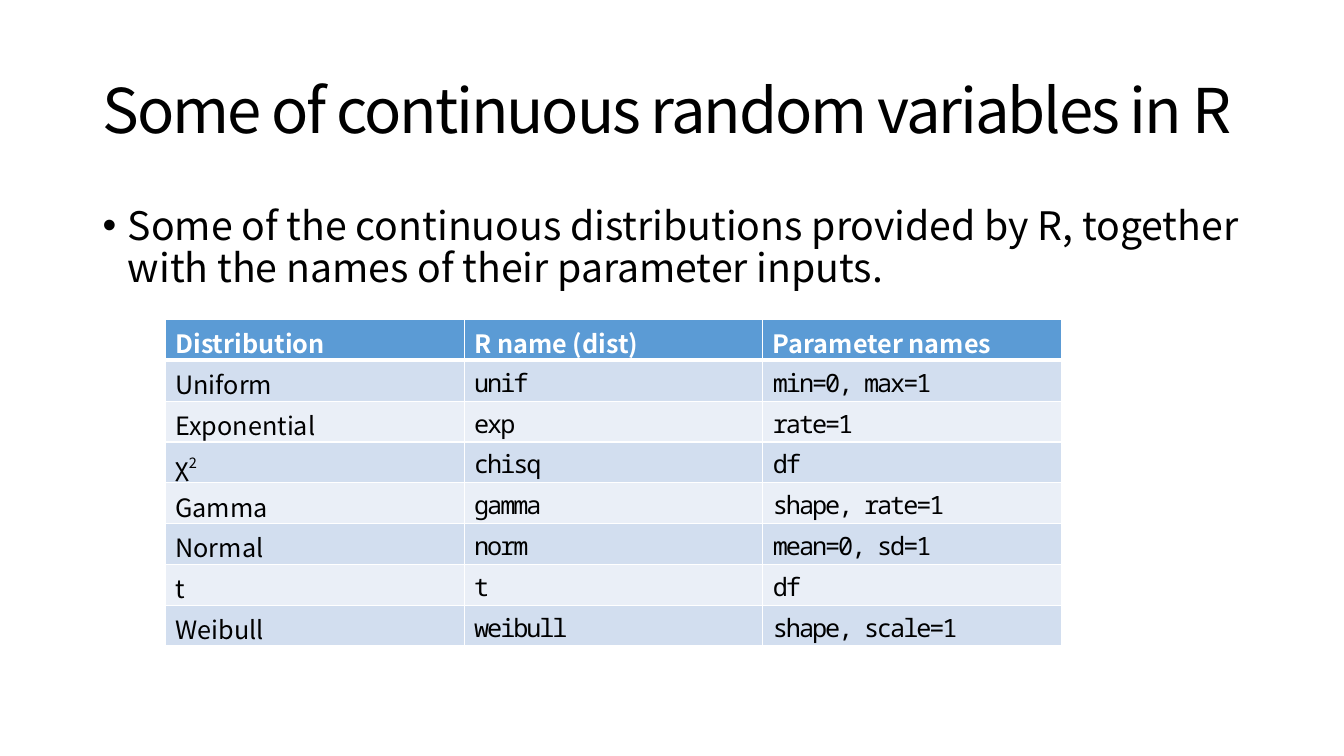
from dataclasses import dataclass

from lxml.etree import SubElement
from pptx import Presentation
from pptx.dml.color import RGBColor
from pptx.enum.text import MSO_ANCHOR as Anchor, MSO_AUTO_SIZE as AutoSize, PP_ALIGN as Align
from pptx.oxml.ns import qn
from pptx.util import Pt

PX = 9144
TITLE_BOX = (92, 40, 1150, 145)
BODY_BOX = (92, 200, 1150, 476)
TABLE_BOX = (164, 317, 889, 324)
TITLE = "Some of continuous random variables in R"
SUMMARY = ("Some of the continuous distributions provided by R, "
           "together with the names of their parameter inputs.")
HEADINGS = ("Distribution", "R name (dist)", "Parameter names")
DISTRIBUTIONS = (
    ("Uniform", "unif", "min=0, max=1"),
    ("Exponential", "exp", "rate=1"),
    ("χ^2", "chisq", "df"),
    ("Gamma", "gamma", "shape, rate=1"),
    ("Normal", "norm", "mean=0, sd=1"),
    ("t", "t", "df"),
    ("Weibull", "weibull", "shape, scale=1"),
)


@dataclass(frozen=True)
class Theme:
    """Colours, fonts and type sizes of the slide."""
    text: str = "000000"
    white: str = "FFFFFF"
    header: str = "5B9BD5"
    bands: tuple = ("D2DEEF", "EAEFF7")
    sans: str = "Noto Sans CJK KR"
    mono: str = "Noto Sans Mono"
    title_size: int = 44
    body_size: int = 28
    table_size: int = 18
    tight: int = -150
    grid_line: int = 1
    header_line: int = 3


THEME = Theme()


def apply_format(target, values):
    """Set each named attribute of the target."""
    for name, value in values.items():
        setattr(target, name, value)


def place(shape, box):
    """Move a shape to a box given in px."""
    names = ("left", "top", "width", "height")
    apply_format(shape, {name: length * PX for name, length in zip(names, box)})


def add_text(paragraph, text, size, color=THEME.text, font=THEME.sans, bold=False, **extras):
    """Add a formatted run, with extra run properties such as spacing."""
    run = paragraph.add_run()
    run.text = text
    apply_format(run.font, {"size": Pt(size), "name": font, "bold": bold})
    run.font.color.rgb = RGBColor.from_string(color)
    for name, value in extras.items():
        run.font._element.set(name, str(value))


def add_title(slide, box):
    """Fill the title placeholder."""
    title = slide.shapes.title
    place(title, box)
    apply_format(title.text_frame, {"vertical_anchor": Anchor.MIDDLE, "word_wrap": True,
                                    "auto_size": AutoSize.NONE})
    paragraph = title.text_frame.paragraphs[0]
    apply_format(paragraph, {"alignment": Align.LEFT, "line_spacing": 0.9})
    add_text(paragraph, TITLE, THEME.title_size, spc=THEME.tight)


def add_summary(slide, box):
    """Add the bulleted sentence."""
    frame = slide.shapes.add_textbox(*(length * PX for length in box)).text_frame
    frame.word_wrap = True
    paragraph = frame.paragraphs[0]
    apply_format(paragraph, {"line_spacing": 0.9, "space_before": Pt(10)})
    add_text(paragraph, SUMMARY, THEME.body_size)
    properties = paragraph._p.get_or_add_pPr()
    properties.set("marL", str(25 * PX))
    properties.set("indent", str(-25 * PX))
    SubElement(properties, qn("a:buFont"), typeface="Arial")
    SubElement(properties, qn("a:buChar"), char="•")


def style_cell(cell, fill, top, bottom):
    """Give a cell white borders and a solid fill."""
    properties = cell._tc.get_or_add_tcPr()
    widths = {"L": THEME.grid_line, "R": THEME.grid_line, "T": top, "B": bottom}
    for side, width in widths.items():
        line = SubElement(properties, qn(f"a:ln{side}"), w=str(Pt(width)))
        SubElement(SubElement(line, qn("a:solidFill")), qn("a:srgbClr"), val=THEME.white)
    cell.fill.solid()
    cell.fill.fore_color.rgb = RGBColor.from_string(fill)


def fill_cell(cell, text, row, column):
    """Write one cell in the style of its row and column."""
    is_header = row == 0
    fill = THEME.header if is_header else THEME.bands[(row - 1) % 2]
    top = THEME.header_line if row == 1 else THEME.grid_line
    style_cell(cell, fill, top, THEME.header_line if is_header else THEME.grid_line)
    paragraph = cell.text_frame.paragraphs[0]
    if is_header:
        add_text(paragraph, text, THEME.table_size, THEME.white, bold=True)
    elif column:
        add_text(paragraph, text, THEME.table_size, font=THEME.mono, spc=THEME.tight)
    else:
        base, _, exponent = text.partition("^")
        add_text(paragraph, base, THEME.table_size)
        if exponent:
            add_text(paragraph, exponent, THEME.table_size, baseline=30000)


def add_distribution_table(slide, box):
    """Add the table of distributions."""
    rows = (HEADINGS, *DISTRIBUTIONS)
    lengths = (length * PX for length in box)
    table = slide.shapes.add_table(len(rows), len(HEADINGS), *lengths).table
    for row, texts in enumerate(rows):
        for column, text in enumerate(texts):
            fill_cell(table.cell(row, column), text, row, column)


def main():
    """Build the slide and save it."""
    presentation = Presentation()
    apply_format(presentation, {"slide_width": 1333 * PX, "slide_height": 750 * PX})
    slide = presentation.slides.add_slide(presentation.slide_layouts[5])
    add_title(slide, TITLE_BOX)
    add_summary(slide, BODY_BOX)
    add_distribution_table(slide, TABLE_BOX)
    presentation.save("out.pptx")


if __name__ == "__main__":
    main()
